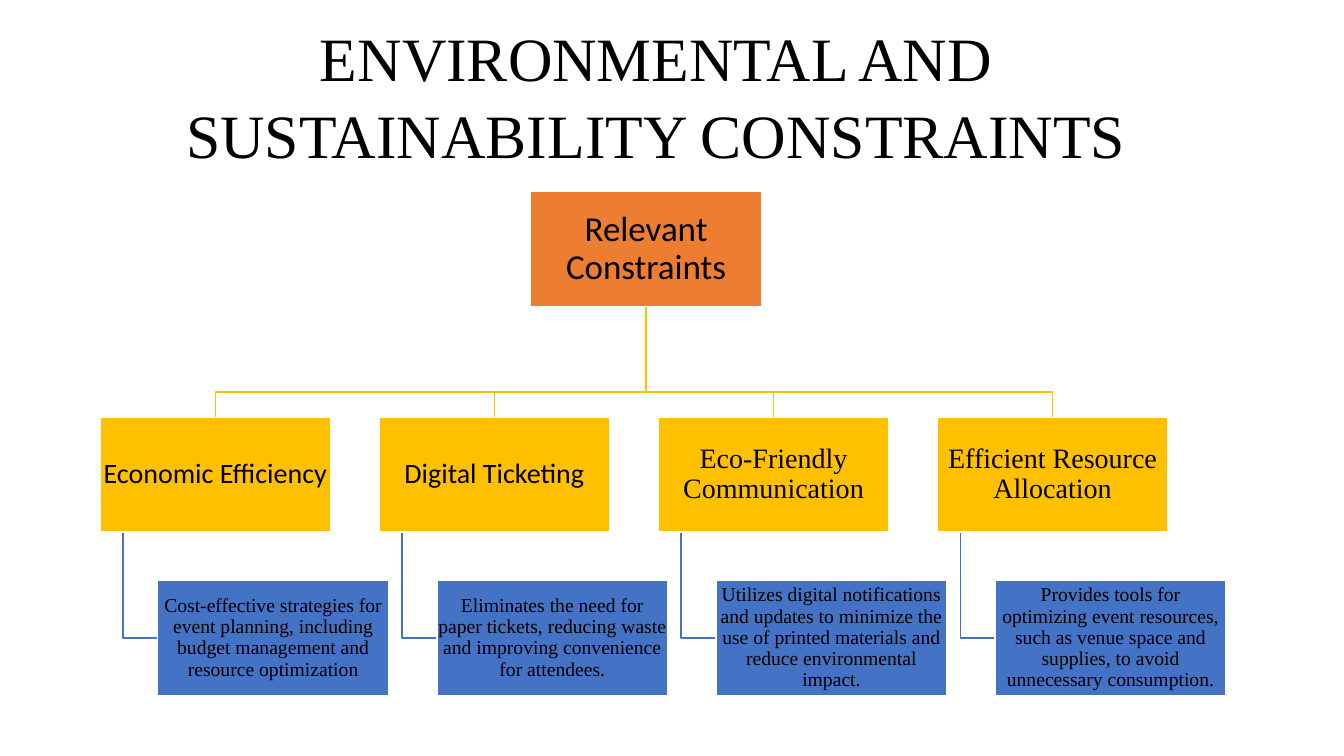
from pptx import Presentation
from pptx.dml.color import RGBColor
from pptx.enum.shapes import MSO_SHAPE as Shape
from pptx.enum.text import MSO_ANCHOR as Anchor, PP_ALIGN as Align
from pptx.util import Inches, Pt

COLORS = {
    "text": "000000",
    "outline": "FFFFFF",
    "root": "ED7D31",
    "topic": "FFC000",
    "detail": "4472C4",
}
SERIF, SANS = "Times New Roman", "Calibri"
BOX_W, BOX_H = 2.29, 1.14
TOPICS = [
    ("Economic Efficiency", SANS,
     "Cost-effective strategies for event planning, including budget "
     "management and resource optimization"),
    ("Digital Ticketing", SANS,
     "Eliminates the need for paper tickets, reducing waste and improving "
     "convenience for attendees."),
    ("Eco-Friendly Communication", SERIF,
     "Utilizes digital notifications and updates to minimize the use of "
     "printed materials and reduce environmental impact."),
    ("Efficient Resource Allocation", SERIF,
     "Provides tools for optimizing event resources, such as venue space and "
     "supplies, to avoid unnecessary consumption."),
]


def color(name):
    return RGBColor.from_string(COLORS[name])


def write(frame, text, size, font, spacing=0.9, anchor=Anchor.MIDDLE,
          insets=(0.01, 0.01, 0.01, 0.01)):
    frame.word_wrap = True
    frame.vertical_anchor = anchor
    (frame.margin_left, frame.margin_top,
     frame.margin_right, frame.margin_bottom) = map(Inches, insets)
    paragraph = frame.paragraphs[0]
    paragraph.alignment = Align.CENTER
    paragraph.line_spacing = spacing
    run = paragraph.add_run()
    run.text = text
    run.font.size = Pt(size)
    run.font.name = font
    run.font.color.rgb = color("text")


def add_box(slide, left, top, level, text, size, font, **text_format):
    box = slide.shapes.add_shape(Shape.RECTANGLE, Inches(left), Inches(top),
                                 Inches(BOX_W), Inches(BOX_H))
    box.shadow.inherit = False
    box.fill.solid()
    box.fill.fore_color.rgb = color(level)
    box.line.color.rgb = color("outline")
    box.line.width = Pt(1)
    write(box.text_frame, text, size, font, **text_format)


def add_link(slide, level, points):
    start, *rest = [(Inches(x), Inches(y)) for x, y in points]
    builder = slide.shapes.build_freeform(*start)
    builder.add_line_segments(rest, close=False)
    link = builder.convert_to_shape()
    link.shadow.inherit = False
    link.fill.background()
    link.line.color.rgb = color(level)
    link.line.width = Pt(1)


def add_title(slide, left, top, width, height):
    title = slide.shapes.add_textbox(Inches(left), Inches(top),
                                     Inches(width), Inches(height))
    write(title.text_frame, "ENVIRONMENTAL AND SUSTAINABILITY CONSTRAINTS",
          44, SERIF, spacing=1.05, anchor=Anchor.TOP,
          insets=(0.1, 0.08, 0.1, 0.05))


def add_hierarchy(slide, left, top, width, height):
    detail_shift = 0.575
    pitch = (width - detail_shift - BOX_W) / (len(TOPICS) - 1)
    root_left = left + (width - detail_shift - BOX_W) / 2 + 0.12
    root_x = root_left + BOX_W / 2
    topic_top = top + 2.24
    detail_top = top + height - BOX_H
    branch_y = topic_top - 0.25
    topic_lefts = [left + i * pitch for i in range(len(TOPICS))]

    for topic_left in reversed(topic_lefts):
        stem_x = topic_left + BOX_W / 10
        detail_y = detail_top + BOX_H / 2
        topic_x = topic_left + BOX_W / 2
        add_link(slide, "detail", [(stem_x, topic_top + BOX_H),
                                   (stem_x, detail_y),
                                   (topic_left + detail_shift, detail_y)])
        add_link(slide, "topic", [(root_x, top + BOX_H), (root_x, branch_y),
                                  (topic_x, branch_y), (topic_x, topic_top)])

    add_box(slide, root_left, top, "root", "Relevant Constraints", 25, SANS,
            insets=(0.02, 0.02, 0.02, 0.02))
    for topic_left, (topic, font, detail) in zip(topic_lefts, TOPICS):
        add_box(slide, topic_left, topic_top, "topic", topic, 20, font)
        add_box(slide, topic_left + detail_shift, detail_top, "detail",
                detail, 14, SERIF)


def main():
    deck = Presentation()
    deck.slide_width, deck.slide_height = Inches(13.33), Inches(7.5)
    slide = deck.slides.add_slide(deck.slide_layouts[6])
    add_hierarchy(slide, 0.99, 1.9, 11.17, 5)
    add_title(slide, 0.86, 0.08, 11.3, 1.58)
    deck.save("out.pptx")


if __name__ == "__main__":
    main()
